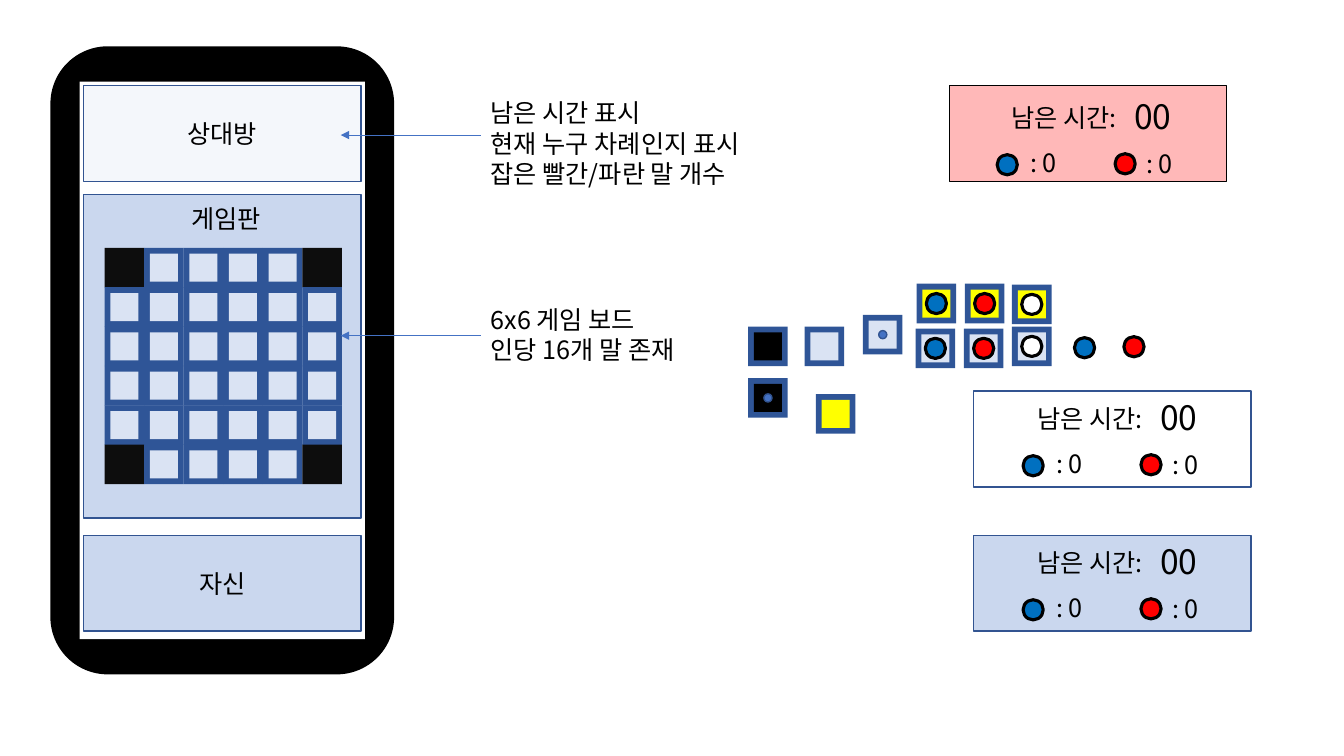
from pptx import Presentation
from pptx.dml.color import RGBColor
from pptx.enum import shapes, text
from pptx.oxml.ns import qn
from pptx.util import Pt
from lxml import etree

FONT = "Noto Sans CJK KR"
C = dict(black="000000", white="FFFFFF", corner="0D0D0D", frame="2F5597",
         pale="DAE3F3", accent="4472C4", edge="325491", yellow="FFFF00",
         blue="0070C0", red="FF0000", pink="FFB8B8")

# Content: phone panels as label, top, height, fill
PHONE_PANELS = [("상대방", 61.2, 68.4, "pale"),
                ("자신", 382.3, 68.4, "accent"),
                (None, 139, 231.1, "accent")]
BOARD_TITLE = "게임판"
# Notes: lines, text top, height, arrow y
NOTES = [(["남은 시간 표시", "현재 누구 차례인지 표시", "잡은 빨간/파란 말 개수"], 66.2, 72.7, 96.5),
         (["6x6 게임 보드", "인당 16개 말 존재"], 213.8, 51, 239.8)]
# Score cards: left, top, fill, opacity, edge, content shift
SCORE_CARDS = [(678.2, 61.2, "pink", None, "black", (-1.2, 3.2)),
               (695.5, 382.3, "accent", 28, "edge", (0, 0)),
               (695.5, 279.4, "white", 28, "edge", (0, 0))]
TIME_LABEL, TIME_VALUE, COUNT = "남은 시간:", "00", ": 0"
# Sample tiles: left, top, face, mark
SAMPLES = [(574.7, 233.3, "pale", None), (616.4, 224.9, "pale", "dot"),
           (654, 234.7, "pale", "blue"), (688.5, 234.7, "pale", "red"),
           (722.9, 233.3, "pale", "white"), (534.4, 233.3, "black", None),
           (534.4, 270.1, "black", "dot"), (582.8, 281.5, "yellow", None),
           (722.9, 203.3, "yellow", "white"), (654.7, 202.7, "yellow", "blue"),
           (689.2, 202.7, "yellow", "red")]
LOOSE_PIECES = [(767.5, 241.2, "blue"), (802.8, 240.5, "red")]

BOARD_X, BOARD_Y, PITCH_X, PITCH_Y, GRID = 74.7, 177.1, 28.25, 28.1, 6
TILE, FACE, PIECE, DOT = 28.3, 20, 14.4, 5.8
PANEL_X, PANEL_W, CARD_H = 59.8, 198, 68.4

prs = Presentation()
prs.slide_width, prs.slide_height = Pt(960), Pt(540)
slide = prs.slides.add_slide(prs.slide_layouts[6])


def rgb(name):
    return RGBColor.from_string(C[name])


def shape(x, y, w, h, fill, kind="RECTANGLE", edge=None, weight=1, opacity=None, parent=slide):
    sp = parent.shapes.add_shape(getattr(shapes.MSO_SHAPE, kind), Pt(x), Pt(y), Pt(w), Pt(h))
    sp.shadow.inherit = False
    sp.fill.solid()
    sp.fill.fore_color.rgb = rgb(fill)
    if opacity:
        clr = sp.fill._xPr.find(qn("a:solidFill"))[0]
        etree.SubElement(clr, qn("a:alpha"), val=str(opacity * 1000))
    if edge:
        sp.line.color.rgb = rgb(edge)
        sp.line.width = Pt(weight)
    else:
        sp.line.fill.background()
    return sp


def write(sp, lines, size=18, align="LEFT", anchor="TOP", wrap=True):
    tf = sp.text_frame
    tf.word_wrap = wrap
    tf.vertical_anchor = getattr(text.MSO_ANCHOR, anchor)
    for i, line in enumerate(lines):
        p = tf.add_paragraph() if i else tf.paragraphs[0]
        p.alignment = getattr(text.PP_ALIGN, align)
        r = p.add_run()
        r.text = line
        r.font.size, r.font.name = Pt(size), FONT
        r.font.color.rgb = rgb("black")
        etree.SubElement(r.font._element, qn("a:ea"), typeface=FONT)


def label(x, y, w, h, lines, **fmt):
    write(slide.shapes.add_textbox(Pt(x), Pt(y), Pt(w), Pt(h)), lines, **fmt)


def arrow(x1, x2, y):
    cx = slide.shapes.add_connector(shapes.MSO_CONNECTOR.STRAIGHT, Pt(x1), Pt(y), Pt(x2), Pt(y))
    cx.line.color.rgb = rgb("accent")
    cx.line.width = Pt(0.5)
    etree.SubElement(cx.line._get_or_add_ln(), qn("a:tailEnd"), type="triangle")
    etree.SubElement(cx._element.spPr, qn("a:effectLst"))


def piece(x, y, color, parent=slide):
    shape(x, y, PIECE, PIECE, color, "OVAL", "black", 2.25, parent=parent)


def tile(x, y, face, mark=None):
    grp = slide.shapes.add_group_shape()
    shape(x, y, TILE, TILE, "frame", parent=grp)
    inset = (TILE - FACE) / 2
    shape(x + inset, y + inset, FACE, FACE, face, parent=grp)
    if mark == "dot":
        inset = (TILE - DOT) / 2
        shape(x + inset, y + inset, DOT, DOT, "accent", "OVAL", "edge", parent=grp)
    elif mark:
        inset = (TILE - PIECE) / 2
        piece(x + inset, y + inset, mark, grp)


def score_card(x, y, fill, opacity, edge, shift):
    shape(x, y, PANEL_W, CARD_H, fill, edge=edge, opacity=opacity)
    x, y = x + shift[0], y + shift[1]
    label(x + 126, y + 0.7, 49.7, 36, [TIME_VALUE], size=24)
    label(x + 38.2, y + 5, 97.9, 28.8, [TIME_LABEL], wrap=False)
    for dx, dy, color in [(35.3, 46.1, "blue"), (119.5, 45.4, "red")]:
        piece(x + dx, y + dy, color)
    for dx, dy in [(51.8, 37.4), (134.6, 38.2)]:
        label(x + dx, y + dy, 35.3, 28.8, [COUNT], wrap=False)


# Phone and its panels
phone = slide.shapes.add_group_shape()
shape(36, 33.1, 245.5, 448.6, "black", "ROUNDED_RECTANGLE", parent=phone)
shape(56.9, 58.3, 203.8, 398.2, "white", parent=phone)
for name, top, height, fill in PHONE_PANELS:
    panel = shape(PANEL_X, top, PANEL_W, height, fill, edge="edge", opacity=28)
    if name:
        write(panel, [name], align="CENTER", anchor="MIDDLE")
label(129.6, 141.8, 100, 28.8, [BOARD_TITLE])

# Game board with dark corners
for row in range(GRID):
    for col in range(GRID):
        x, y = BOARD_X + col * PITCH_X, BOARD_Y + row * PITCH_Y
        if row in (0, GRID - 1) and col in (0, GRID - 1):
            shape(x, y, TILE, TILE, "corner")
        else:
            tile(x, y, "pale")

# Notes with arrows
for lines, top, height, arrow_y in NOTES:
    arrow(343.4, 243.4, arrow_y)
    label(343.4, top, 306.7, height, lines)

# Score cards, sample tiles and loose pieces
for card in SCORE_CARDS:
    score_card(*card)
for sample in SAMPLES:
    tile(*sample)
for loose in LOOSE_PIECES:
    piece(*loose)

prs.save("out.pptx")
